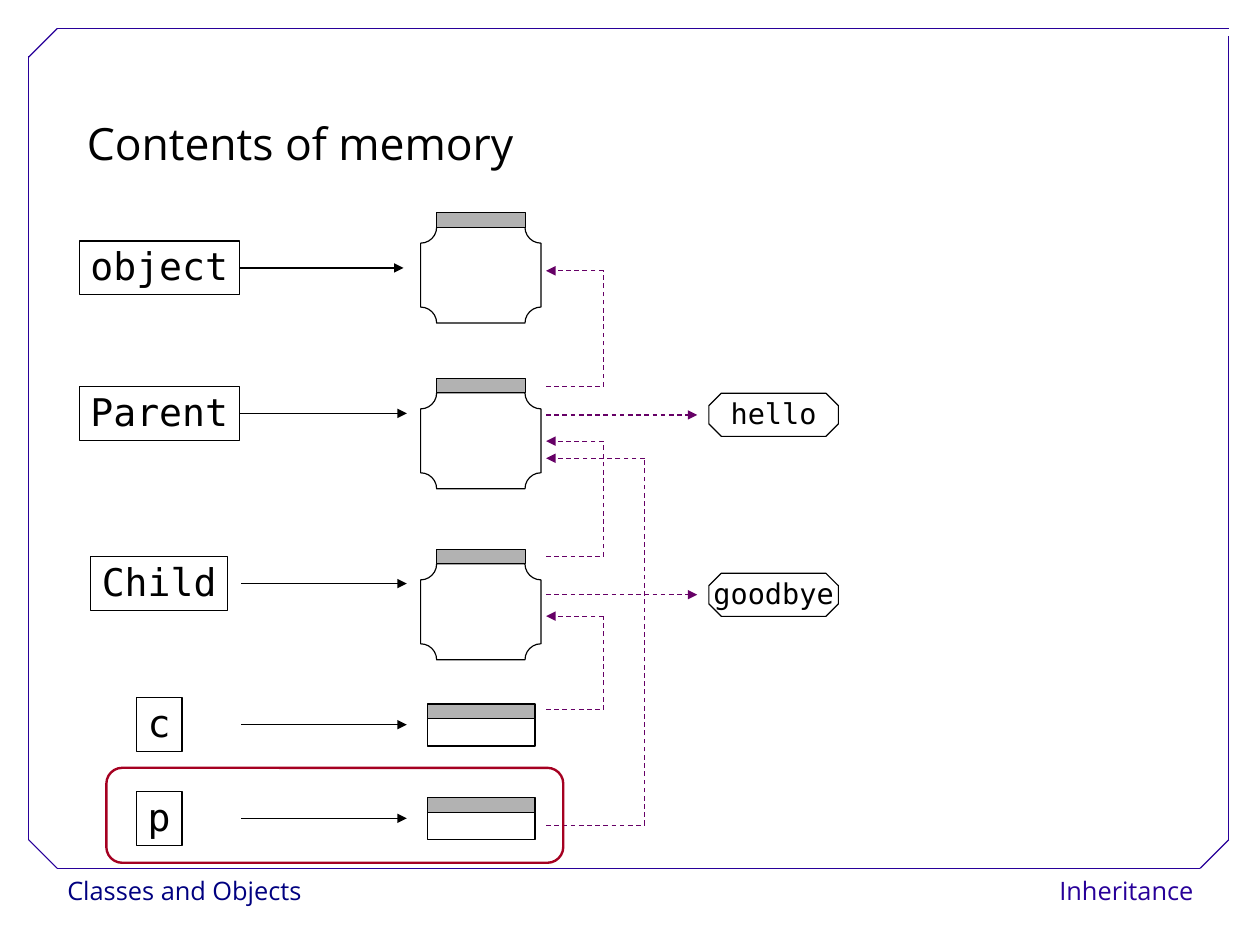
from typing import NamedTuple

from lxml.etree import SubElement
from pptx import Presentation
from pptx.dml.color import RGBColor
from pptx.enum.dml import MSO_LINE_DASH_STYLE as Dash
from pptx.enum.shapes import MSO_CONNECTOR as Conn, MSO_SHAPE as Form
from pptx.enum.text import MSO_ANCHOR as Anchor, MSO_AUTO_SIZE as Auto, PP_ALIGN as Align
from pptx.oxml.ns import qn
from pptx.util import Pt

BLACK, WHITE, GREY = "000000", "FFFFFF", "B2B2B2"
BLUE, NAVY, PLUM, RED = "280099", "000080", "660066", "A50021"
SANS, MONO = "Open Sans", "DejaVu Sans Mono"
BAR, EDGE = 9.2, 344  # header height, side where references meet the boxes


class Box(NamedTuple):
    left: float
    top: float
    width: float
    height: float


class Name(NamedTuple):
    text: str
    mid: float
    width: float
    start: float
    end: float
    joined: bool = False


class Loop(NamedTuple):
    """A reference that leaves one box, turns at `bend` and enters another."""
    start: float
    end: float
    bend: float = 380.2


class Value(NamedTuple):
    text: str
    top: float
    ref: float


NAMES = [
    Name("object", 168.8, 100.8, 149.8, 254.2, True),
    Name("Parent", 260.4, 100.8, 152, 256.3, True),
    Name("Child", 367.6, 86.4, 152, 256.3),
    Name("c", 456.5, 28.8, 152, 256.3),
    Name("p", 515.5, 28.8, 152, 256.3),
]
CLASS_TOPS = [133.9, 238.3, 346]
ITEM_TOPS = [443.5, 502.6]
LOOPS = [Loop(243.4, 170.6), Loop(350.6, 277.9), Loop(447.1, 388.1),
         Loop(519.8, 288.7, 406.1)]
VALUES = [Value("hello", 247.7, 261.4), Value("goodbye", 361.1, 374.6)]
FRAME = [
    (36, 547, 756, 547), (18, 529, 18, 35.5), (36, 18, 774, 18),
    (774, 529, 774, 23), (18, 36, 36, 18), (756, 547, 774, 529),
    (18, 529, 36, 547),
]


def hue(code: str) -> RGBColor:
    return RGBColor.from_string(code)


def write(shape, text: str, face: str, size: float, color: str = BLACK,
          align=Align.LEFT, gap: float = 0.93, anchor=Anchor.TOP,
          wrap: bool = False) -> None:
    frame = shape.text_frame
    para = frame.paragraphs[0]
    para.text = text
    font = para.runs[0].font
    font.color.rgb = hue(color)
    looks = [
        (frame, dict(auto_size=Auto.NONE, word_wrap=wrap, vertical_anchor=anchor,
                     margin_left=Pt(7.2), margin_right=Pt(7.2),
                     margin_top=Pt(3.6), margin_bottom=Pt(3.6))),
        (para, dict(alignment=align, line_spacing=gap, space_before=Pt(0))),
        (font, dict(name=face, size=Pt(size), bold=False)),
    ]
    for part, values in looks:
        for key, value in values.items():
            setattr(part, key, value)


def draw(slide, form, box: Box, fill: str = "", line: str = BLACK, width: float = 0.75):
    shape = slide.shapes.add_shape(form, *map(Pt, box))
    shape.shadow.inherit = False
    if fill:
        shape.fill.solid()
        shape.fill.fore_color.rgb = hue(fill)
    else:
        shape.fill.background()
    if line:
        shape.line.color.rgb = hue(line)
        shape.line.width = Pt(width)
    else:
        shape.line.fill.background()
    return shape


def link(slide, ends: tuple, color: str, head: bool = False, dash: bool = False):
    conn = slide.shapes.add_connector(Conn.STRAIGHT, *map(Pt, ends))
    conn.line.color.rgb = hue(color)
    conn.line.width = Pt(0.75)
    if dash:
        conn.line.dash_style = Dash.DASH
    props = conn.element.spPr
    if head:
        SubElement(props.find(qn("a:ln")), qn("a:tailEnd"), type="triangle")
    SubElement(props, qn("a:effectLst"))
    return conn


def add_frame(slide) -> None:
    feet = [("Classes and Objects", Box(35.3, 547.2, 154.8, 28.8), NAVY, Align.LEFT),
            ("Inheritance", Box(658.1, 547.2, 100.8, 28.8), BLUE, Align.RIGHT)]
    for text, box, color, align in feet:
        foot = draw(slide, Form.RECTANGLE, box, WHITE, "")
        write(foot, text, SANS, 16, color, align, 1.02)
    for ends in FRAME:
        link(slide, ends, BLUE)


def add_title(slide) -> None:
    title = slide.shapes.title
    title.left, title.top, title.width, title.height = map(Pt, (47.5, 52.6, 680.4, 57.6))
    write(title, "Contents of memory", SANS, 28, gap=1.5, wrap=True)


def add_name(slide, name: Name) -> None:
    box = Box(100.3 - name.width / 2, name.mid - 17, name.width, 34)
    label = draw(slide, Form.RECTANGLE, box)
    write(label, name.text, MONO, 24)
    arrow = link(slide, (name.start, name.mid, name.end, name.mid), BLACK, head=True)
    if name.joined:
        arrow.begin_connect(label, 3)


def add_object(slide, form, body: Box, inset: float) -> None:
    """Draw a body with a grey header bar on top of it."""
    draw(slide, form, body)
    bar = Box(body.left + inset, body.top - BAR, body.width - 2 * inset, BAR)
    draw(slide, Form.RECTANGLE, bar, GREY)


def add_loop(slide, loop: Loop) -> None:
    stops = [(EDGE, loop.start), (loop.bend, loop.start),
             (loop.bend, loop.end), (EDGE, loop.end)]
    for here, there in zip(stops, stops[1:]):
        link(slide, here + there, PLUM, head=there == stops[-1], dash=True)


def add_value(slide, value: Value) -> None:
    link(slide, (EDGE, value.ref, 439.2, value.ref), PLUM, head=True, dash=True)
    shape = draw(slide, Form.OCTAGON, Box(446.5, value.top, 81.6, 27.2))
    shape.adjustments[0] = 0.29
    write(shape, value.text, MONO, 18, align=Align.CENTER, anchor=Anchor.MIDDLE)


def main() -> None:
    deck = Presentation()
    deck.slide_width = Pt(793.7)
    deck.slide_height = Pt(595.28)
    slide = deck.slides.add_slide(deck.slide_layouts[5])
    add_frame(slide)
    add_title(slide)
    for name in NAMES:
        add_name(slide, name)
    for top in CLASS_TOPS:
        add_object(slide, Form.PLAQUE, Box(265, top + BAR, 75.8, 60.4), 10)
    for top in ITEM_TOPS:
        add_object(slide, Form.RECTANGLE, Box(269.3, top + BAR, 67.8, 17.3), 0)
    for loop in LOOPS:
        add_loop(slide, loop)
    for value in VALUES:
        add_value(slide, value)
    draw(slide, Form.ROUNDED_RECTANGLE, Box(67, 483.7, 287.8, 59.8), line=RED, width=1.5)
    deck.save("out.pptx")


if __name__ == "__main__":
    main()
